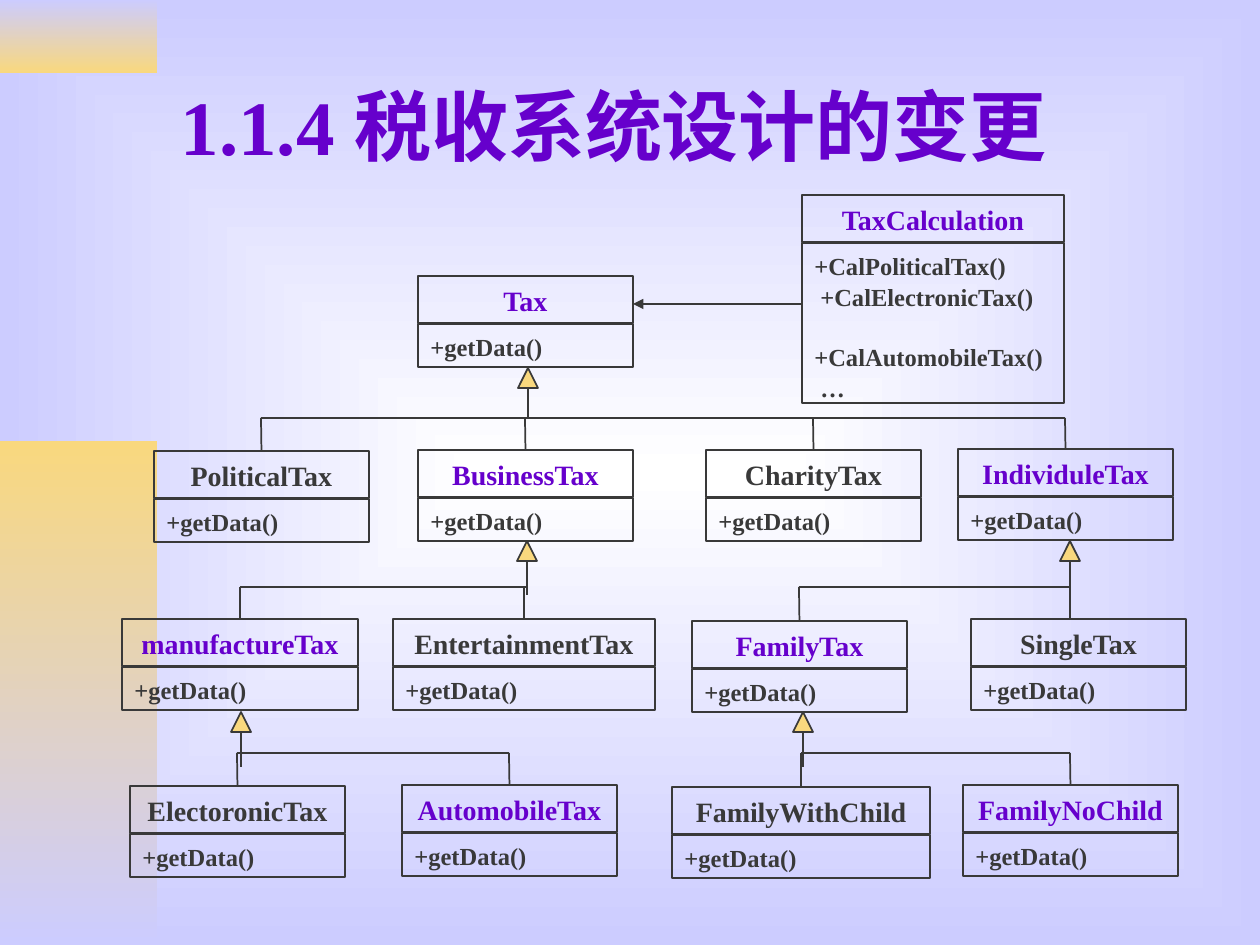
from dataclasses import dataclass
from typing import Any, Optional

import lxml.etree
import pptx
import pptx.dml.color
import pptx.enum.shapes
import pptx.enum.text
import pptx.oxml.ns
import pptx.util

EMU_PER_PX = 914400 / 126
FONT = "Times New Roman"
INK, ACCENT, GOLD, LAVENDER, WHITE = "393939", "6600CC", "F9D87E", "CCCCFF", "FFFFFF"
HEADER_HEIGHT, BODY_OFFSET, TRIANGLE = 47, 48, 20
SHAPES = pptx.enum.shapes.MSO_SHAPE
ALIGN = pptx.enum.text.PP_ALIGN
ANCHOR = pptx.enum.text.MSO_ANCHOR
qn = pptx.oxml.ns.qn


@dataclass
class Method:
    text: str = "+getData()"
    indent: int = 0
    gap: int = 0


@dataclass
class UmlClass:
    name: str
    left: int
    top: int
    color: str = INK
    width: int = 215
    body_height: int = 43
    methods: tuple[Method, ...] = (Method(),)
    drop_x: Optional[int] = None


@dataclass
class Inheritance:
    left: int
    top: int
    bus_y: int
    stem_end: int
    children: tuple[str, ...]


CLASSES = [
    UmlClass("Tax", 418, 276, ACCENT),
    UmlClass("PoliticalTax", 154, 451),
    UmlClass("BusinessTax", 418, 450, ACCENT),
    UmlClass("CharityTax", 706, 450),
    UmlClass("IndividuleTax", 958, 449, ACCENT),
    UmlClass("manufactureTax", 122, 619, ACCENT, 236),
    UmlClass("EntertainmentTax", 393, 619, INK, 262),
    UmlClass("FamilyTax", 692, 621, ACCENT),
    UmlClass("SingleTax", 971, 619, drop_x=1070),
    UmlClass("ElectoronicTax", 130, 786),
    UmlClass("AutomobileTax", 402, 785, ACCENT),
    UmlClass("FamilyWithChild", 672, 787, INK, 258),
    UmlClass("FamilyNoChild", 963, 785, ACCENT),
    UmlClass("TaxCalculation", 802, 195, ACCENT, 262, 160, (
        Method("+CalPoliticalTax()"),
        Method("+CalElectronicTax()", indent=6),
        Method("+CalAutomobileTax()", gap=17),
        Method("…", indent=6),
    )),
]

INHERITANCES = [
    Inheritance(518, 368, 418, 418,
                ("PoliticalTax", "BusinessTax", "CharityTax", "IndividuleTax")),
    Inheritance(517, 541, 587, 595, ("manufactureTax", "EntertainmentTax")),
    Inheritance(1060, 541, 587, 595, ("FamilyTax", "SingleTax")),
    Inheritance(231, 712, 753, 767, ("ElectoronicTax", "AutomobileTax")),
    Inheritance(793, 712, 753, 767, ("FamilyWithChild", "FamilyNoChild")),
]


def px(length: int) -> int:
    return round(length * EMU_PER_PX)


def rgb(color: str) -> pptx.dml.color.RGBColor:
    return pptx.dml.color.RGBColor.from_string(color)


def apply(target: Any, formats: dict[str, Any]) -> None:
    for attribute, value in formats.items():
        setattr(target, attribute, value)


def set_font(paragraph: Any, size: int, color: str) -> None:
    font = paragraph.runs[0].font
    apply(font, {"name": FONT, "size": pptx.util.Pt(size), "bold": True})
    font.color.rgb = rgb(color)


def set_gradient(fill: Any, start: str, end: str) -> None:
    fill.gradient()
    for stop, color, position in zip(fill.gradient_stops, (start, end), (0, 1)):
        apply(stop, {"position": position})
        stop.color.rgb = rgb(color)


def set_line(line: Any) -> None:
    line.color.rgb = rgb(INK)
    line.width = pptx.util.Pt(1)


def add_preset(slide: Any, preset: Any, left: int, top: int, width: int, height: int) -> Any:
    shape = slide.shapes.add_shape(preset, px(left), px(top), px(width), px(height))
    shape.shadow.inherit = False
    return shape


def add_band(slide: Any, top: int, height: int, start: str, end: str) -> None:
    band = add_preset(slide, SHAPES.RECTANGLE, 0, top, 157, height)
    set_gradient(band.fill, start, end)
    band.fill.gradient_angle = 270
    band.line.fill.background()


def add_compartment(slide: Any, left: int, top: int, width: int, height: int,
                    rows: tuple[Method, ...], size: int, color: str, align: Any) -> Any:
    compartment = add_preset(slide, SHAPES.RECTANGLE, left, top, width, height)
    compartment.fill.background()
    set_line(compartment.line)
    frame = compartment.text_frame
    apply(frame, {"word_wrap": True, "vertical_anchor": ANCHOR.TOP})
    for index, row in enumerate(rows):
        paragraph = frame.add_paragraph() if index else frame.paragraphs[0]
        paragraph.text = row.text
        apply(paragraph, {"alignment": align, "line_spacing": 1.05})
        if row.gap:
            paragraph.space_before = pptx.util.Pt(row.gap)
        if row.indent:
            paragraph._p.get_or_add_pPr().set("marL", str(px(row.indent)))
        set_font(paragraph, size, color)
    return compartment


def add_class(slide: Any, uml: UmlClass) -> Any:
    add_compartment(slide, uml.left, uml.top + BODY_OFFSET, uml.width, uml.body_height,
                    uml.methods, 14, INK, ALIGN.LEFT)
    return add_compartment(slide, uml.left, uml.top, uml.width, HEADER_HEIGHT,
                           (Method(uml.name),), 16, uml.color, ALIGN.CENTER)


def add_line(slide: Any, x1: int, y1: int, x2: int, y2: int, arrow: bool = False) -> Any:
    line = slide.shapes.add_connector(pptx.enum.shapes.MSO_CONNECTOR.STRAIGHT,
                                      px(x1), px(y1), px(x2), px(y2))
    set_line(line.line)
    properties = line._element.spPr
    if arrow:
        lxml.etree.SubElement(properties.find(qn("a:ln")), qn("a:tailEnd"), type="triangle")
    lxml.etree.SubElement(properties, qn("a:effectLst"))
    return line


def add_inheritance(slide: Any, tree: Inheritance, classes: dict[str, UmlClass],
                    headers: dict[str, Any]) -> None:
    triangle = add_preset(slide, SHAPES.ISOSCELES_TRIANGLE, tree.left, tree.top,
                          TRIANGLE, TRIANGLE)
    triangle.fill.solid()
    triangle.fill.fore_color.rgb = rgb(GOLD)
    set_line(triangle.line)
    stem_x = tree.left + TRIANGLE // 2
    add_line(slide, stem_x, tree.top + TRIANGLE, stem_x, tree.stem_end)
    drops = []
    for child in map(classes.get, tree.children):
        x = child.drop_x or child.left + child.width // 2
        drop = add_line(slide, x, tree.bus_y, x, child.top)
        if child.drop_x is None:
            drop.end_connect(headers[child.name], 0)
        drops.append(x)
    add_line(slide, min(*drops, stem_x), tree.bus_y, max(*drops, stem_x), tree.bus_y)


def main() -> None:
    deck = pptx.Presentation()
    apply(deck, {"slide_width": px(1260), "slide_height": px(945)})
    slide = deck.slides.add_slide(deck.slide_layouts[5])

    set_gradient(slide.background.fill, WHITE, LAVENDER)
    gradient = slide._element.find(".//" + qn("a:gradFill"))
    gradient.remove(gradient.find(qn("a:lin")))
    center = lxml.etree.SubElement(gradient, qn("a:path"), path="rect")
    lxml.etree.SubElement(center, qn("a:fillToRect"), dict.fromkeys("ltrb", "50000"))

    add_band(slide, 0, 73, LAVENDER, GOLD)
    add_band(slide, 441, 504, GOLD, LAVENDER)

    title = slide.shapes.title
    apply(title, {"left": px(168), "top": px(42), "width": px(1071), "height": px(166)})
    title.text_frame.text = "1.1.4 税收系统设计的变更"
    apply(title.text_frame, {"vertical_anchor": ANCHOR.MIDDLE, "word_wrap": True,
                             "auto_size": pptx.enum.text.MSO_AUTO_SIZE.NONE})
    heading = title.text_frame.paragraphs[0]
    heading.alignment = ALIGN.LEFT
    set_font(heading, 44, ACCENT)

    classes = {uml.name: uml for uml in CLASSES}
    headers = {uml.name: add_class(slide, uml) for uml in CLASSES}
    for tree in INHERITANCES:
        add_inheritance(slide, tree, classes, headers)
    add_line(slide, 802, 304, 633, 304, arrow=True)

    deck.save("out.pptx")


if __name__ == "__main__":
    main()
